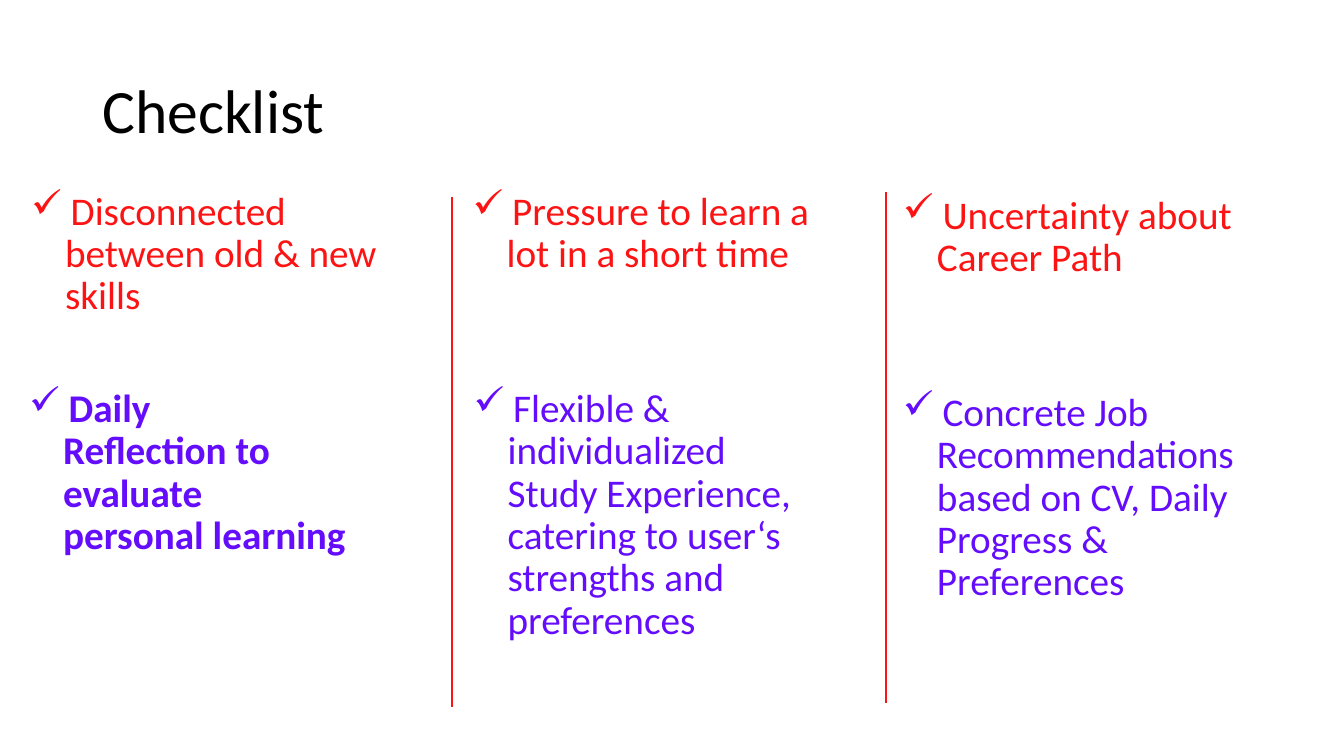
from lxml.etree import SubElement
from pptx import Presentation
from pptx.dml.color import RGBColor
from pptx.enum.shapes import MSO_CONNECTOR
from pptx.enum.text import MSO_ANCHOR
from pptx.oxml.ns import qn
from pptx.util import Pt

FONT = "Calibri"
BLACK, RED, VIOLET = "000000", "FC1414", "640CFC"
TITLE = "Checklist"

# Each item: left, top, lines, bold
PROBLEMS = [
    (15.1, 133.2, ["Disconnected", "between old & new", "skills"], False),
    (330.5, 133.2, ["Pressure to learn a", "lot in a short time"], False),
    (637.9, 136.1, ["Uncertainty about", "Career Path"], False),
]
SOLUTIONS = [
    (13.7, 273.9, ["Daily", "Reflection to", "evaluate", "personal learning"], True),
    (331.2, 273.9, ["Flexible &", "individualized", "Study Experience,",
                    "catering to user‘s", "strengths and", "preferences"], False),
    (637.9, 276.8, ["Concrete Job", "Recommendations", "based on CV, Daily",
                    "Progress &", "Preferences"], False),
]
# Each divider: x, top
DIVIDERS = [(322.6, 140.4), (632.9, 137.5)]
DIVIDER_HEIGHT = 364.3
COLUMN_WIDTH = 295.2
PROBLEM_HEIGHT, SOLUTION_HEIGHT = 130, 250
BULLET_INDENT = 18


def color(hex_string):
    return RGBColor.from_string(hex_string)


def add_text(slide, left, top, width, height, text, size, text_color, bold=False):
    box = slide.shapes.add_textbox(Pt(left), Pt(top), Pt(width), Pt(height))
    box.text_frame.word_wrap = True
    para = box.text_frame.paragraphs[0]
    para.text = text
    para.line_spacing = 0.9
    for span in para.runs:
        span.font.name = FONT
        span.font.size = Pt(size)
        span.font.bold = bold
        span.font.color.rgb = color(text_color)
    return box


def add_check_bullet(para):
    properties = para._p.get_or_add_pPr()
    properties.set("marL", str(Pt(BULLET_INDENT)))
    properties.set("indent", str(-Pt(BULLET_INDENT)))
    SubElement(properties, qn("a:buChar")).set("char", "✓")


def add_checklist_row(slide, items, height, text_color):
    for left, top, lines, bold in items:
        # A vertical tab is a line break; the space sets text off from the check
        text = "\v".join(" " + line for line in lines)
        box = add_text(slide, left, top, COLUMN_WIDTH, height, text, 28, text_color, bold)
        add_check_bullet(box.text_frame.paragraphs[0])


def add_divider(slide, x, top):
    line = slide.shapes.add_connector(
        MSO_CONNECTOR.STRAIGHT, Pt(x), Pt(top), Pt(x), Pt(top + DIVIDER_HEIGHT))
    line.line.color.rgb = color(RED)
    line.line.width = Pt(1.5)
    SubElement(line._element.spPr, qn("a:effectLst"))


def main():
    deck = Presentation()
    deck.slide_width, deck.slide_height = Pt(960), Pt(540)
    slide = deck.slides.add_slide(deck.slide_layouts[6])

    title = add_text(slide, 66, 28.75, 828, 104.4, TITLE, 44, BLACK)
    title.text_frame.vertical_anchor = MSO_ANCHOR.MIDDLE
    add_checklist_row(slide, PROBLEMS, PROBLEM_HEIGHT, RED)
    for x, top in DIVIDERS:
        add_divider(slide, x, top)
    add_checklist_row(slide, SOLUTIONS, SOLUTION_HEIGHT, VIOLET)

    deck.save("out.pptx")


if __name__ == "__main__":
    main()
